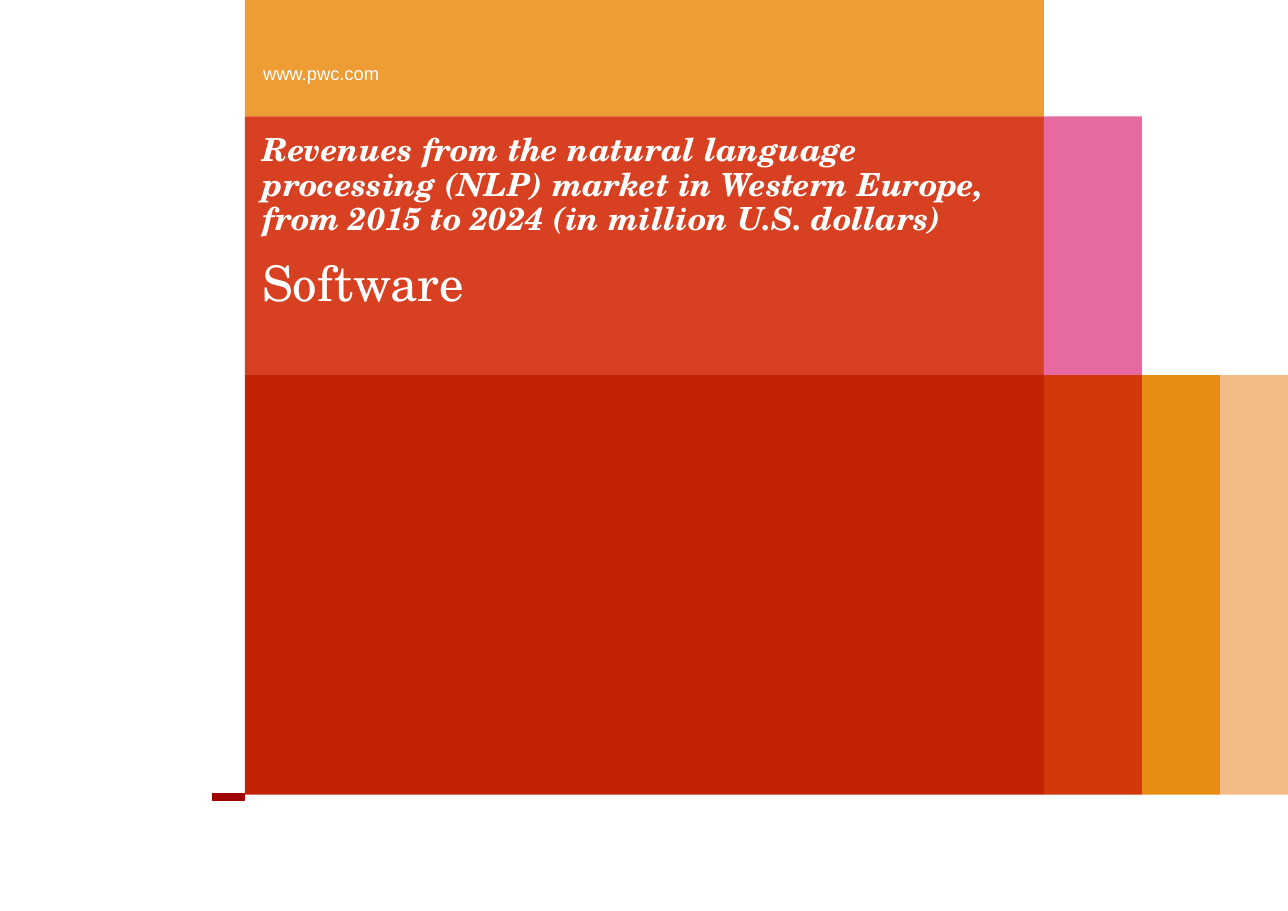
from pptx import Presentation
from pptx.dml.color import RGBColor
from pptx.enum.shapes import MSO_SHAPE
from pptx.util import Pt

COLORS = {
    "crimson": "C22303",
    "rust": "D1390D",
    "amber": "E88C14",
    "peach": "F3BC87",
    "vermilion": "D74021",
    "pink": "E669A2",
    "orange": "EE9C34",
    "dark red": "A10000",
    "white": "FFFFFF",
}

COLUMN_EDGES = [160, 682.2, 746.3, 797.4, 842]
ROW_EDGES = [0, 76.1, 245.2, 519.4]
MOSAIC = [
    ["orange"],
    ["vermilion", "pink"],
    ["crimson", "rust", "amber", "peach"],
]
DASH = (139, 518.6, 20.7, 4.3)

CAPTIONS = [
    ("Revenues from the natural language processing (NLP) market in Western Europe, "
     "from 2015 to 2024 (in million U.S. dollars)",
     (165.6, 84.2, 512, 77), "TeX Gyre Schola", 20.8, True, 0.9),
    ("Software", (165, 166, 512, 77), "TeX Gyre Schola", 32, False, 0.9),
    ("www.pwc.com", (165.6, 37.4, 397, 18.7), "Arial", 12, False, 1.0),
]


def color(name):
    return RGBColor.from_string(COLORS[name])


def add_block(slide, box, fill):
    block = slide.shapes.add_shape(MSO_SHAPE.RECTANGLE, *map(Pt, box))
    block.shadow.inherit = False
    block.fill.solid()
    block.fill.fore_color.rgb = color(fill)
    block.line.fill.background()
    return block


def add_caption(slide, words, box, font_name, size, emphasis, spacing):
    frame = slide.shapes.add_textbox(*map(Pt, box)).text_frame
    frame.word_wrap = True
    frame.margin_left = frame.margin_right = Pt(6.3)
    frame.margin_top = frame.margin_bottom = Pt(3.6)
    frame.text = words
    paragraph = frame.paragraphs[0]
    paragraph.line_spacing = spacing
    font = paragraph.runs[0].font
    font.name = font_name
    font.size = Pt(size)
    font.bold = font.italic = emphasis
    font.color.rgb = color("white")


def main():
    deck = Presentation()
    deck.slide_width, deck.slide_height = Pt(841.68), Pt(595.44)
    cover = deck.slides.add_slide(deck.slide_layouts[6])

    for top, bottom, fills in zip(ROW_EDGES, ROW_EDGES[1:], MOSAIC):
        for left, right, fill in zip(COLUMN_EDGES, COLUMN_EDGES[1:], fills):
            add_block(cover, (left, top, right - left, bottom - top), fill)

    dash = add_block(cover, DASH, "dark red")
    dash.line.color.rgb = color("dark red")
    dash.line.width = Pt(1)

    for caption in CAPTIONS:
        add_caption(cover, *caption)

    deck.save("out.pptx")


if __name__ == "__main__":
    main()
